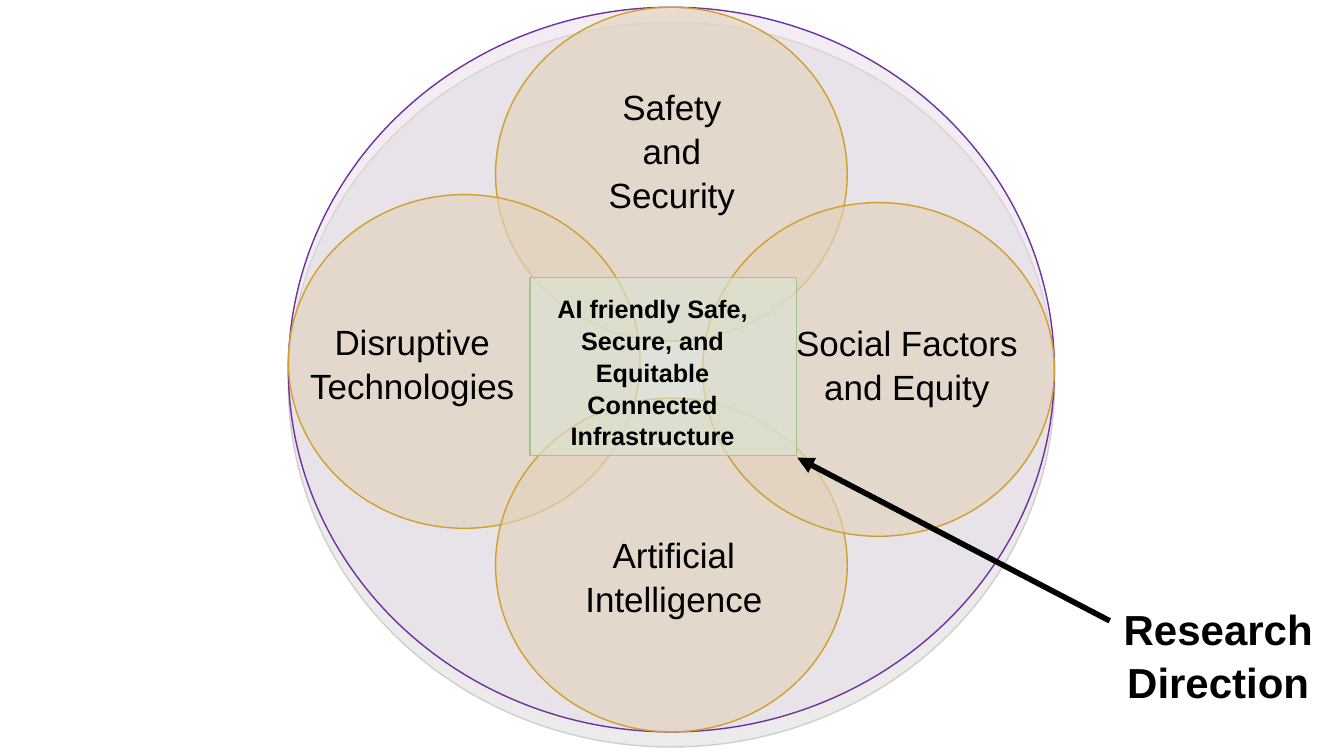
from lxml import etree
from pptx import Presentation
from pptx.dml.color import RGBColor
from pptx.enum.shapes import MSO_CONNECTOR, MSO_SHAPE
from pptx.enum.text import PP_ALIGN
from pptx.oxml.ns import qn
from pptx.util import Pt

COLOURS = {
    "text": "000000",
    "shade": "EBEBEB", "shade_edge": "CFCFCF",
    "field": "E3DBE6", "field_edge": "7030A0",
    "theme": "E2D3BC", "theme_edge": "D29E2E",
    "core": "DBE2D3", "core_edge": "A0C48A",
}
CENTRE_X = 479.6
FIELD_TOP = 5.2
FIELD_SIZE = (547.2, 517.6)
THEME_SIZE = (251.2, 238.4)


def colour(name):
    return RGBColor.from_string(COLOURS[name])


def add_area(page, kind, left, top, width, height, name, opacity=100):
    """Add a filled, outlined shape; its edge colour goes with its name."""
    area = page.shapes.add_shape(kind, Pt(left), Pt(top), Pt(width), Pt(height))
    area.shadow.inherit = False
    area.fill.solid()
    area.fill.fore_color.rgb = colour(name)
    area.line.color.rgb = colour(name + "_edge")
    area.line.width = Pt(1)
    if opacity < 100:
        fill = area.fill._xPr.find(qn("a:solidFill"))
        etree.SubElement(fill[0], qn("a:alpha"), val=str(opacity * 1000))


def add_text(page, paragraphs, left, top, width, height, size=25, bold=False):
    box = page.shapes.add_textbox(Pt(left), Pt(top), Pt(width), Pt(height))
    frame = box.text_frame
    frame.word_wrap = True
    for index, words in enumerate(paragraphs):
        para = frame.add_paragraph() if index else frame.paragraphs[0]
        para.alignment = PP_ALIGN.CENTER
        para.line_spacing = 1.05
        span = para.add_run()
        span.text = words
        span.font.name = "Arial"
        span.font.size = Pt(size)
        span.font.bold = bold
        span.font.color.rgb = colour("text")


def add_arrow(page, start, end, width):
    arrow = page.shapes.add_connector(
        MSO_CONNECTOR.STRAIGHT, *(Pt(value) for value in start + end))
    arrow.line.color.rgb = colour("text")
    arrow.line.width = Pt(width)
    etree.SubElement(arrow.line._get_or_add_ln(), qn("a:tailEnd"), type="triangle")
    etree.SubElement(arrow._element.spPr, qn("a:effectLst"))


def main():
    deck = Presentation()
    deck.slide_width, deck.slide_height = Pt(960), Pt(540)
    page = deck.slides.add_slide(deck.slide_layouts[6])

    # Large field with its offset shade
    field_left = CENTRE_X - FIELD_SIZE[0] / 2
    add_area(page, MSO_SHAPE.OVAL, field_left, FIELD_TOP + 10.8, *FIELD_SIZE, "shade")
    add_area(page, MSO_SHAPE.OVAL, field_left, FIELD_TOP, *FIELD_SIZE, "field", 49)

    # Four themes touching the edge of the field
    middle_left = CENTRE_X - THEME_SIZE[0] / 2
    right_left = field_left + FIELD_SIZE[0] - THEME_SIZE[0]
    bottom_top = FIELD_TOP + FIELD_SIZE[1] - THEME_SIZE[1]
    for left, top in ((middle_left, FIELD_TOP), (field_left, 139),
                      (middle_left, bottom_top), (right_left, 144.7)):
        add_area(page, MSO_SHAPE.OVAL, left, top, *THEME_SIZE, "theme", 65)

    # Shared core
    add_area(page, MSO_SHAPE.RECTANGLE, 378.7, 198, 190.4, 127.6, "core", 65)

    # Theme labels
    for words, left, top, width, height in (
            ("Safety and Security", 417.6, 56.2, 124.6, 98),
            ("Disruptive Technologies", 205.9, 224, 177.1, 67.7),
            ("Social Factors and Equity", 542.2, 224.6, 211, 67.7),
            ("Artificial Intelligence", 375.8, 375.8, 211, 67.7)):
        add_text(page, [words], left, top, width, height)

    # Core label
    add_text(page, ["AI friendly Safe, Secure, and Equitable", "Connected Infrastructure"],
             375.8, 205.2, 180.7, 116.6, size=18, bold=True)

    # Pointer to the core
    add_arrow(page, (792.7, 443.5), (569.5, 326.9), 4)
    add_text(page, ["Research Direction"], 779.8, 425.5, 180.7, 79.9, size=30, bold=True)

    deck.save("out.pptx")


main()
